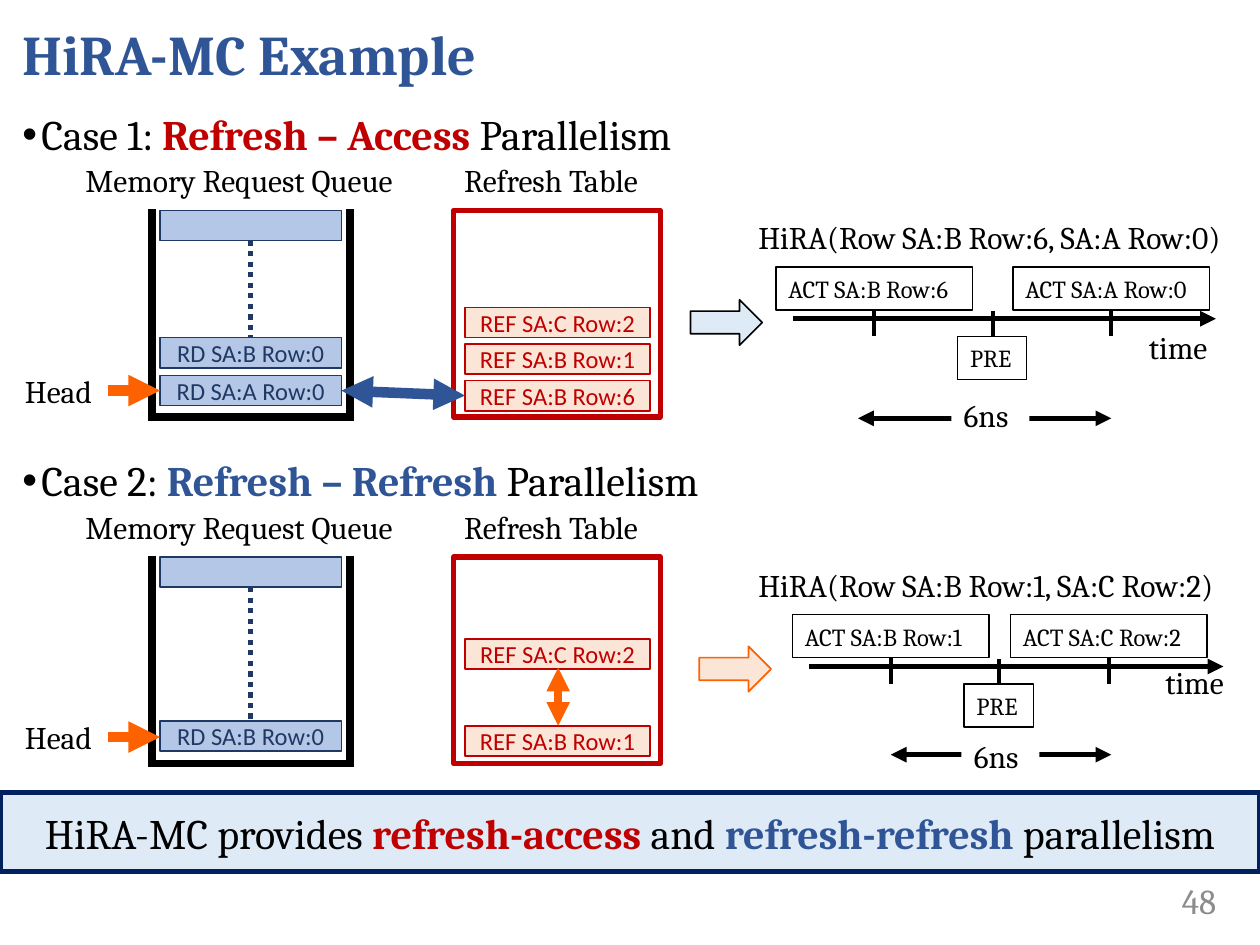
from lxml import etree
from pptx import Presentation
from pptx.dml.color import RGBColor
from pptx.enum.dml import MSO_LINE
from pptx.enum.shapes import MSO_CONNECTOR, MSO_SHAPE
from pptx.enum.text import MSO_ANCHOR, PP_ALIGN
from pptx.oxml.ns import qn
from pptx.util import Inches, Pt

RECTANGLE, RIGHT_ARROW = MSO_SHAPE.RECTANGLE, MSO_SHAPE.RIGHT_ARROW
STRAIGHT, DOTTED = MSO_CONNECTOR.STRAIGHT, MSO_LINE.ROUND_DOT
MIDDLE = MSO_ANCHOR.MIDDLE
LEFT, CENTER, RIGHT = PP_ALIGN.LEFT, PP_ALIGN.CENTER, PP_ALIGN.RIGHT
BLACK, WHITE, GRAY = "000000", "FFFFFF", "8C8C8C"
RED, BLUE, ORANGE = "C00000", "2F5597", "FE6100"
NAVY, DARK_NAVY = "203864", "002060"
PALE_BLUE, LIGHT_BLUE, PALE_ORANGE = "B4C7E7", "DEEBF7", "FBE5D6"
COLUMNS, ROWS = 100, 75
CASE_STEP = 27.5
ENTRY_HEIGHT = 2.4


def color(value):
    return RGBColor.from_string(value)


class Deck:
    """Draw styled elements on a slide grid of 100 columns by 75 rows."""

    def __init__(self):
        self.presentation = Presentation()
        self.presentation.slide_width = Inches(10)
        self.presentation.slide_height = Inches(7.5)
        self.slide = self.presentation.slides.add_slide(self.presentation.slide_layouts[6])

    def place(self, column, row):
        return (round(self.presentation.slide_width * column / COLUMNS),
                round(self.presentation.slide_height * row / ROWS))

    def fill_text(self, shape, runs, size, align, font, bullet=False):
        frame = shape.text_frame
        frame.word_wrap = True
        frame.vertical_anchor = MIDDLE
        paragraph = frame.paragraphs[0]
        paragraph.alignment = align
        if bullet:
            properties = paragraph._p.get_or_add_pPr()
            properties.set("marL", str(Inches(0.15)))
            properties.set("indent", str(-Inches(0.15)))
            etree.SubElement(properties, qn("a:buFont")).set("typeface", "Arial")
            etree.SubElement(properties, qn("a:buChar")).set("char", "•")
        paragraph.font.name, paragraph.font.size = font, Pt(size)
        for text, tint, bold in runs:
            run = paragraph.add_run()
            run.text = text
            run.font.color.rgb, run.font.bold = color(tint), bold

    def text(self, column, row, width, height, runs, size=18, align=LEFT, bullet=False):
        shape = self.slide.shapes.add_textbox(*self.place(column, row), *self.place(width, height))
        self.fill_text(shape, runs, size, align, "Cambria", bullet)

    def label(self, column, row, width, text):
        self.text(column, row, width, 4, [(text, BLACK, False)])

    def box(self, column, row, width, height, fill=None, line=None, weight=1, runs=(),
            size=14, align=CENTER, font="Cambria", kind=RECTANGLE):
        shape = self.slide.shapes.add_shape(kind, *self.place(column, row), *self.place(width, height))
        shape.shadow.inherit = False
        if fill:
            shape.fill.solid()
            shape.fill.fore_color.rgb = color(fill)
        else:
            shape.fill.background()
        if line:
            shape.line.color.rgb, shape.line.width = color(line), Pt(weight)
        else:
            shape.line.fill.background()
        if runs:
            self.fill_text(shape, runs, size, align, font)

    def line(self, start, end, weight, tint=BLACK, ends=(), dash=None):
        connector = self.slide.shapes.add_connector(STRAIGHT, *self.place(*start), *self.place(*end))
        connector.line.color.rgb, connector.line.width = color(tint), Pt(weight)
        if dash:
            connector.line.dash_style = dash
        properties = connector._element.spPr
        outline = properties.find(qn("a:ln"))
        for end_name in ends:
            etree.SubElement(outline, qn(f"a:{end_name}")).set("type", "triangle")
        etree.SubElement(properties, qn("a:effectLst"))

    def queue(self, top, entries):
        self.label(5.8, top - 4.3, 27.8, "Memory Request Queue")
        for row, text in [(0.1, "")] + entries:
            runs = [(text, NAVY, False)] if text else ()
            self.box(12.7, top + row, 14.4, ENTRY_HEIGHT, PALE_BLUE, NAVY, runs=runs, font="Calibri")
        bottom = top + 16.5
        self.line((12.05, top), (12.05, bottom), 4.5)
        self.line((11.75, bottom), (28.1, bottom), 4.5)
        self.line((27.75, top), (27.75, bottom), 4.5)
        first_row = min(row for row, _ in entries)
        self.line((19.9, top + 2.5), (19.9, top + first_row), 3, NAVY, dash=DOTTED)
        self.label(1, top + 12.4, 7.6, "Head")
        self.line((8.6, top + 14.4), (12.7, top + 14.4), 6, ORANGE, ["tailEnd"])

    def refresh_table(self, top, entries):
        self.label(35.85, top - 4.3, 16.6, "Refresh Table")
        self.box(36, top + 0.1, 16.4, 16.4, line=RED, weight=3)
        for row, text in entries:
            self.box(36.9, top + row, 14.7, ENTRY_HEIGHT, PALE_ORANGE, RED,
                     runs=[(text, RED, False)], font="Calibri")

    def command(self, column, row, width, text):
        self.box(column, row, width, 3.4, line=BLACK, weight=0.75,
                 runs=[(text, BLACK, False)], align=LEFT)

    def timeline(self, top, call, axis, commands, precharge, time, span, delay):
        self.label(59.2, top - 4.4, 40.8, call)
        self.line((axis[0], top + 4.1), (axis[1], top + 4.1), 3, ends=["tailEnd"])
        self.label(*time, 6.9, "time")
        for column, text in commands:
            self.command(column, top, 15.6, text)
            self.line((column + 7.8, top + 3.4), (column + 7.8, top + 5.5), 2.25)
        self.command(precharge, top + 5.5, 5.5, "PRE")
        self.line((precharge + 2.8, top + 3.5), (precharge + 2.8, top + 5.5), 2.25)
        left, right, row = span
        self.line((left, row), (right, row), 3, ends=["headEnd", "tailEnd"])
        self.box(*delay, 6.2, 4, WHITE, runs=[("6ns", BLACK, False)], size=18, align=LEFT)


def main():
    deck = Deck()
    deck.text(0.8, 0, 98.3, 8.4, [("HiRA-MC Example", BLUE, True)], 32)
    deck.text(86.7, 69.5, 10.8, 4, [("48", GRAY, False)], 20, RIGHT)
    cases = [
        ("Case 1: ", "Refresh – Access ", RED,
         [(10.2, "RD SA:B Row:0"), (13.2, "RD SA:A Row:0")],
         [(7.8, "REF SA:C Row:2"), (10.7, "REF SA:B Row:1"), (13.6, "REF SA:B Row:6")],
         (54.8, 23.8, LIGHT_BLUE, BLACK),
         dict(top=21.2, call="HiRA(Row SA:B Row:6, SA:A Row:0)", axis=(62.9, 96.5),
              commands=[(61.6, "ACT SA:B Row:6"), (80.4, "ACT SA:A Row:0")],
              precharge=76, time=(90.2, 25.5), span=(68.1, 88.2, 33.2), delay=(75.5, 30.9))),
        ("Case 2: ", "Refresh – Refresh ", BLUE,
         [(13.1, "RD SA:B Row:0")],
         [(6.6, "REF SA:C Row:2"), (13.5, "REF SA:B Row:1")],
         (55.5, 51.3, PALE_ORANGE, ORANGE),
         dict(top=48.8, call="HiRA(Row SA:B Row:1, SA:C Row:2)", axis=(64.2, 97.1),
              commands=[(62.9, "ACT SA:B Row:1"), (80.2, "ACT SA:C Row:2")],
              precharge=76.5, time=(91.5, 52.1), span=(70.7, 88.2, 59.9), delay=(76.3, 58))),
    ]
    for index, (name, pair, tint, requests, refreshes, arrow, timeline) in enumerate(cases):
        top = 16.6 + index * CASE_STEP
        deck.text(0.8, top - 8.4, 98.3, 4.8, [(name, BLACK, False), (pair, tint, True),
                  ("Parallelism", BLACK, False)], 24, bullet=True)
        deck.queue(top, requests)
        deck.refresh_table(top, refreshes)
        column, row, fill, line = arrow
        deck.box(column, row, 5.7, 3.6, fill, line, kind=RIGHT_ARROW)
        deck.timeline(**timeline)
    both_ends = ["headEnd", "tailEnd"]
    deck.line((27.1, 31), (36.9, 31.4), 6, BLUE, both_ends)
    deck.line((44.3, 57.6), (44.3, 53), 4.5, ORANGE, both_ends)
    deck.box(0, 62.9, 100, 6.3, LIGHT_BLUE, DARK_NAVY, 3, size=24, runs=[
        ("HiRA-MC provides ", BLACK, False), ("refresh-access ", RED, True), ("and ", BLACK, False),
        ("refresh-refresh ", BLUE, True), ("parallelism", BLACK, False)])
    deck.presentation.save("out.pptx")


if __name__ == "__main__":
    main()
